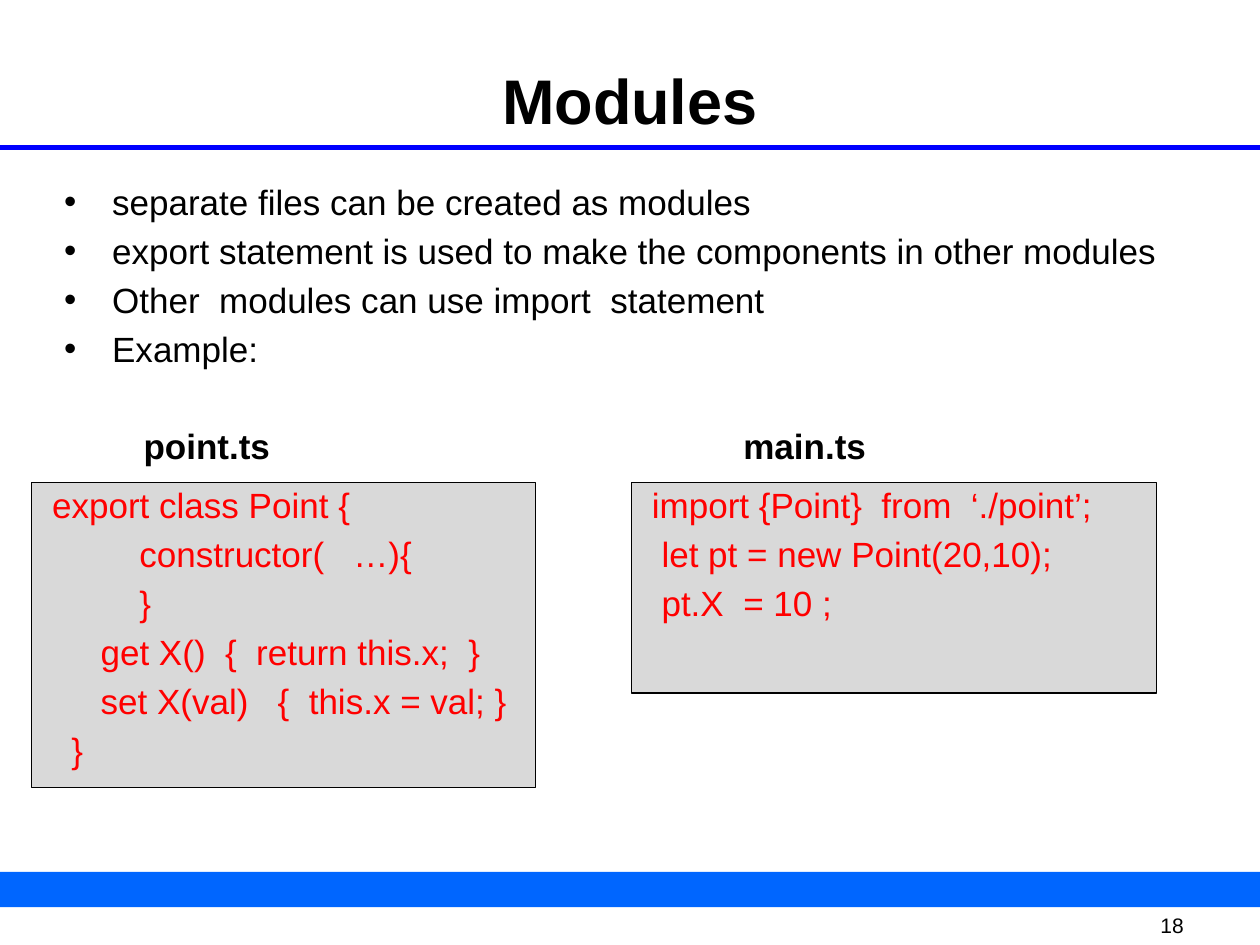
from dataclasses import dataclass

from lxml.etree import SubElement
from pptx import Presentation
from pptx.dml.color import RGBColor
from pptx.enum.shapes import MSO_CONNECTOR, MSO_SHAPE
from pptx.enum.text import MSO_ANCHOR, MSO_AUTO_SIZE, PP_ALIGN
from pptx.oxml.ns import qn
from pptx.util import Inches, Pt

COLORS = {"text": "000000", "code": "FF0000", "panel": "D9D9D9",
          "rule": "0000FF", "band": "0066FF"}
FONT = "Arial"
BODY_SIZE = 20
INDENT_STEP = 0.077  # inches for one column of code indent
PANEL_TOP = 3.83
NAME_TOP, NAME_OFFSET = 3.36, 0.88


@dataclass
class CodePanel:
    file_name: str
    left: float
    width: float
    height: float
    lines: list[tuple[int, str]]  # indent columns, text


BULLETS = [
    "separate files can be created as modules",
    "export statement is used to make the components in other modules",
    "Other  modules can use import  statement",
    "Example:",
]
PANELS = [
    CodePanel("point.ts", 0.25, 4, 2.42, [
        (2, "export class Point {"),
        (11, "constructor(   …){"),
        (11, "}"),
        (7, "get X()  {  return this.x;  }"),
        (7, "set X(val)   {  this.x = val; }"),
        (4, "}"),
    ]),
    CodePanel("main.ts", 5.01, 4.17, 1.67, [
        (2, "import {Point}  from  ‘./point’;"),
        (3, "let pt = new Point(20,10);"),
        (3, "pt.X  = 10 ;"),
    ]),
]


def color(name: str) -> RGBColor:
    return RGBColor.from_string(COLORS[name])


def place(shape, left: float, top: float, width: float, height: float) -> None:
    shape.left, shape.top = Inches(left), Inches(top)
    shape.width, shape.height = Inches(width), Inches(height)


def prepare_frame(shape, anchor=MSO_ANCHOR.TOP):
    frame = shape.text_frame
    frame.word_wrap = True
    frame.auto_size = MSO_AUTO_SIZE.NONE
    frame.vertical_anchor = anchor
    frame.margin_left = frame.margin_right = Inches(0.01)
    frame.margin_top = frame.margin_bottom = Inches(0.01)
    return frame


def write_lines(frame, texts: list[str]) -> list:
    frame.text = "\n".join(texts)
    return list(frame.paragraphs)


def format_para(para, size: float, ink: str, bold: bool = False,
                align=PP_ALIGN.LEFT) -> None:
    para.alignment = align
    para.font.name, para.font.size, para.font.bold = FONT, Pt(size), bold
    para.font.color.rgb = color(ink)


def set_layout(para, margin: float = 0, hanging: float = 0,
               bullet: str = "") -> None:
    """Set 20 % spacing before, the indents and the bullet."""
    props = para._p.get_or_add_pPr()
    props.set("marL", str(Inches(margin)))
    props.set("indent", str(-Inches(hanging)))
    spacing = SubElement(props, qn("a:spcBef"))
    SubElement(spacing, qn("a:spcPct"), val="20000")
    if bullet:
        SubElement(props, qn("a:buFont"), typeface=FONT)
        SubElement(props, qn("a:buChar"), char=bullet)
    else:
        SubElement(props, qn("a:buNone"))
    # The schema wants the default run properties last
    defaults = props.find(qn("a:defRPr"))
    if defaults is not None:
        props.append(defaults)


def add_label(page, text: str, left: float, top: float, width: float,
              height: float, size: float, bold: bool = False,
              anchor=MSO_ANCHOR.TOP) -> None:
    label = page.shapes.add_textbox(0, 0, 0, 0)
    place(label, left, top, width, height)
    para = write_lines(prepare_frame(label, anchor), [text])[0]
    format_para(para, size, "text", bold)
    set_layout(para)


def add_box(page, left: float, top: float, width: float, height: float, fill: str):
    box = page.shapes.add_shape(MSO_SHAPE.RECTANGLE, 0, 0, 0, 0)
    place(box, left, top, width, height)
    box.shadow.inherit = False
    box.fill.solid()
    box.fill.fore_color.rgb = color(fill)
    box.line.fill.background()
    return box


def add_code_panel(page, panel: CodePanel) -> None:
    add_label(page, panel.file_name, panel.left + NAME_OFFSET, NAME_TOP,
              1.5, 0.42, BODY_SIZE, bold=True)
    box = add_box(page, panel.left, PANEL_TOP, panel.width, panel.height, "panel")
    box.line.color.rgb = color("text")
    box.line.width = Pt(0.75)
    paras = write_lines(prepare_frame(box), [text for _, text in panel.lines])
    for para, (columns, _) in zip(paras, panel.lines):
        format_para(para, BODY_SIZE, "code")
        set_layout(para, margin=columns * INDENT_STEP)


deck = Presentation()
deck.slide_width, deck.slide_height = Inches(10), Inches(7.5)
page = deck.slides.add_slide(deck.slide_layouts[1])
title, body = page.placeholders

# Footer band and page number
add_box(page, 0, 6.92, 10, 0.28, "band")
add_label(page, "18", 9.2, 7.25, 0.6, 0.19, 12, anchor=MSO_ANCHOR.MIDDLE)

# Rule under the title
rule = page.shapes.add_connector(MSO_CONNECTOR.STRAIGHT, 0, Inches(1.17),
                                 deck.slide_width, Inches(1.17))
rule.line.color.rgb = color("rule")
rule.line.width = Pt(3)
SubElement(rule._element.spPr, qn("a:effectLst"))

# Title
place(title, 0.67, 0.48, 8.66, 0.96)
title_para = write_lines(prepare_frame(title), ["Modules"])[0]
format_para(title_para, 36, "text", bold=True, align=PP_ALIGN.CENTER)
set_layout(title_para)

# Bullets
place(body, 0.5, 1.42, 8.83, 5.17)
for para in write_lines(prepare_frame(body), BULLETS):
    format_para(para, BODY_SIZE, "text")
    set_layout(para, margin=0.38, hanging=0.38, bullet="•")

# Code panels with their file names
for panel in PANELS:
    add_code_panel(page, panel)

deck.save("out.pptx")
